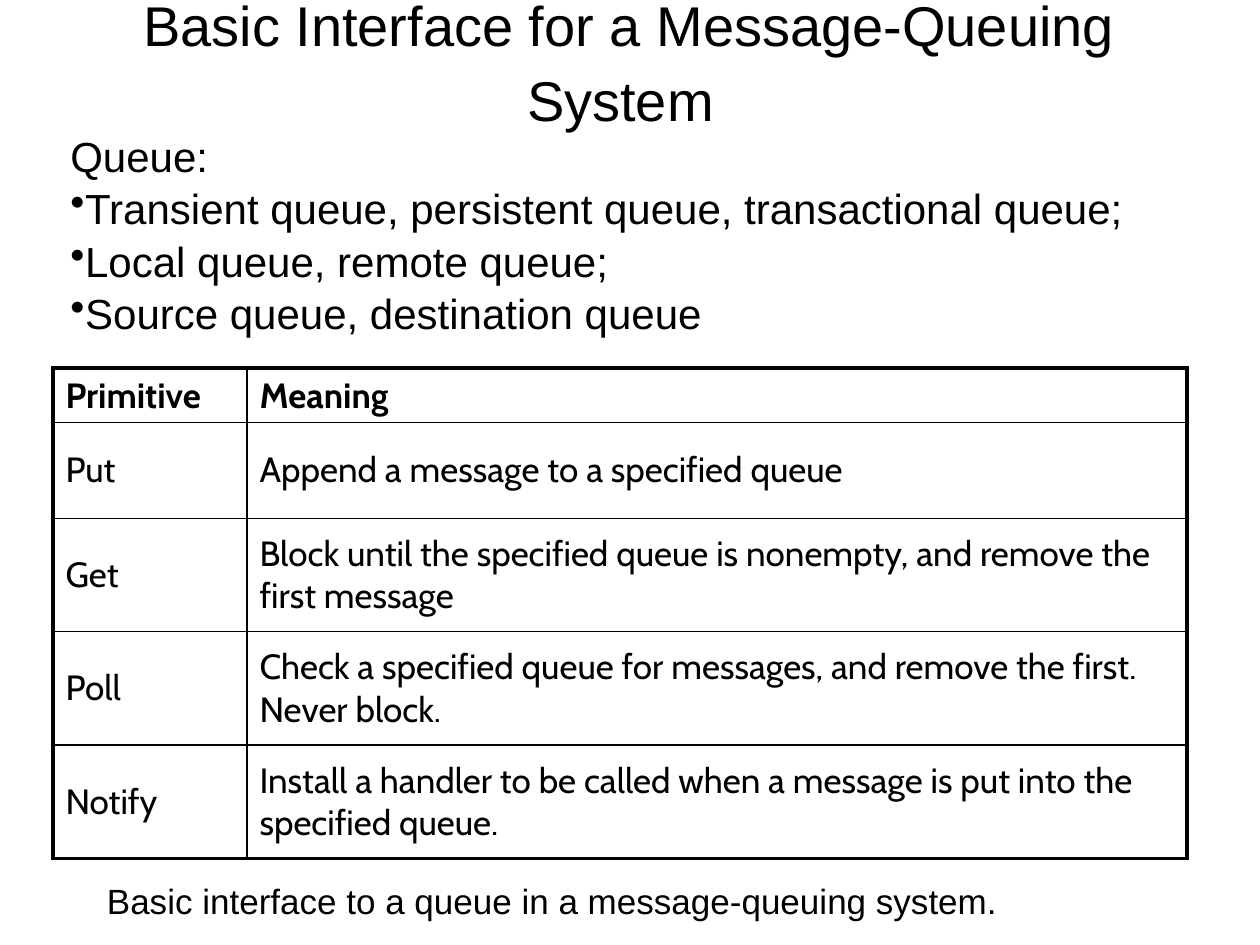
from lxml.etree import SubElement
from pptx import Presentation
from pptx.dml.color import RGBColor
from pptx.enum.text import MSO_ANCHOR as Anchor, PP_ALIGN as Align
from pptx.oxml.ns import qn
from pptx.util import Inches, Pt


def format_runs(paragraph, size, font="Arial", bold=False, color="000000"):
    for run in paragraph.runs:
        run.font.size = Pt(size)
        run.font.name = font
        run.font.bold = bold
        run.font.color.rgb = RGBColor.from_string(color)


def set_border(cell, side, width, color="000000"):
    line = SubElement(cell._tc.get_or_add_tcPr(), qn(f"a:ln{side}"), w=str(Pt(width)))
    fill = SubElement(line, qn("a:solidFill"))
    SubElement(fill, qn("a:srgbClr"), val=color)


presentation = Presentation()
presentation.slide_width = Inches(10)
presentation.slide_height = Inches(7.5)
slide = presentation.slides.add_slide(presentation.slide_layouts[6])

caption = slide.shapes.add_textbox(Inches(0.75), Inches(6.93), Inches(8.55), Inches(0.57))
caption.text_frame.word_wrap = True
caption.text_frame.text = "Basic interface to a queue in a message-queuing system."
paragraph = caption.text_frame.paragraphs[0]
paragraph.space_before = Pt(4)
format_runs(paragraph, 20)

primitives = [
    ("Primitive", "Meaning"),
    ("Put", "Append a message to a specified queue"),
    ("Get", "Block until the specified queue is nonempty, and remove the first message"),
    ("Poll", "Check a specified queue for messages, and remove the first. Never block."),
    ("Notify", "Install a handler to be called when a message is put into the specified queue."),
]
row_heights = [0.43, 0.76, 0.9, 0.9, 0.9]
column_widths = [1.54, 7.46]
last_row = len(row_heights) - 1
last_column = len(column_widths) - 1
table = slide.shapes.add_table(
    len(row_heights), len(column_widths),
    Inches(0.42), Inches(2.92), Inches(sum(column_widths)), Inches(sum(row_heights)),
).table
table.first_row = False
table.horz_banding = False
for column, width in zip(table.columns, column_widths):
    column.width = Inches(width)
for row, height in zip(table.rows, row_heights):
    row.height = Inches(height)

for row_index, texts in enumerate(primitives):
    for column_index, text in enumerate(texts):
        cell = table.cell(row_index, column_index)
        cell.text_frame.text = text
        cell.vertical_anchor = Anchor.MIDDLE
        format_runs(cell.text_frame.paragraphs[0], 20, "Cabin", row_index == 0)
        outer_sides = {
            "L": column_index == 0,
            "R": column_index == last_column,
            "T": row_index == 0,
            "B": row_index == last_row,
        }
        for side, is_outer in outer_sides.items():
            set_border(cell, side, 2.25 if is_outer else 1)
        cell.fill.background()

title = slide.shapes.add_textbox(Inches(0.24), Inches(0.08), Inches(9.51), Inches(0.83))
title.text_frame.word_wrap = True
title.text_frame.vertical_anchor = Anchor.MIDDLE
title.text_frame.text = "Basic Interface for a Message-Queuing System"
paragraph = title.text_frame.paragraphs[0]
paragraph.alignment = Align.CENTER
paragraph.add_run().text = " "
format_runs(paragraph, 32)
paragraph.runs[1].font.size = Pt(36)

queue_kinds = [
    "Transient queue, persistent queue, transactional queue;",
    "Local queue, remote queue;",
    "Source queue, destination queue",
]
queues = slide.shapes.add_textbox(Inches(0.46), Inches(0.97), Inches(8.57), Inches(1.7))
queues.text_frame.word_wrap = False
queues.text_frame.text = "\n".join(["Queue:"] + queue_kinds)
for index, paragraph in enumerate(queues.text_frame.paragraphs):
    paragraph.line_spacing = 1.04
    format_runs(paragraph, 24)
    if index > 0:
        SubElement(paragraph._p.get_or_add_pPr(), qn("a:buChar"), char="•")

presentation.save("out.pptx")
